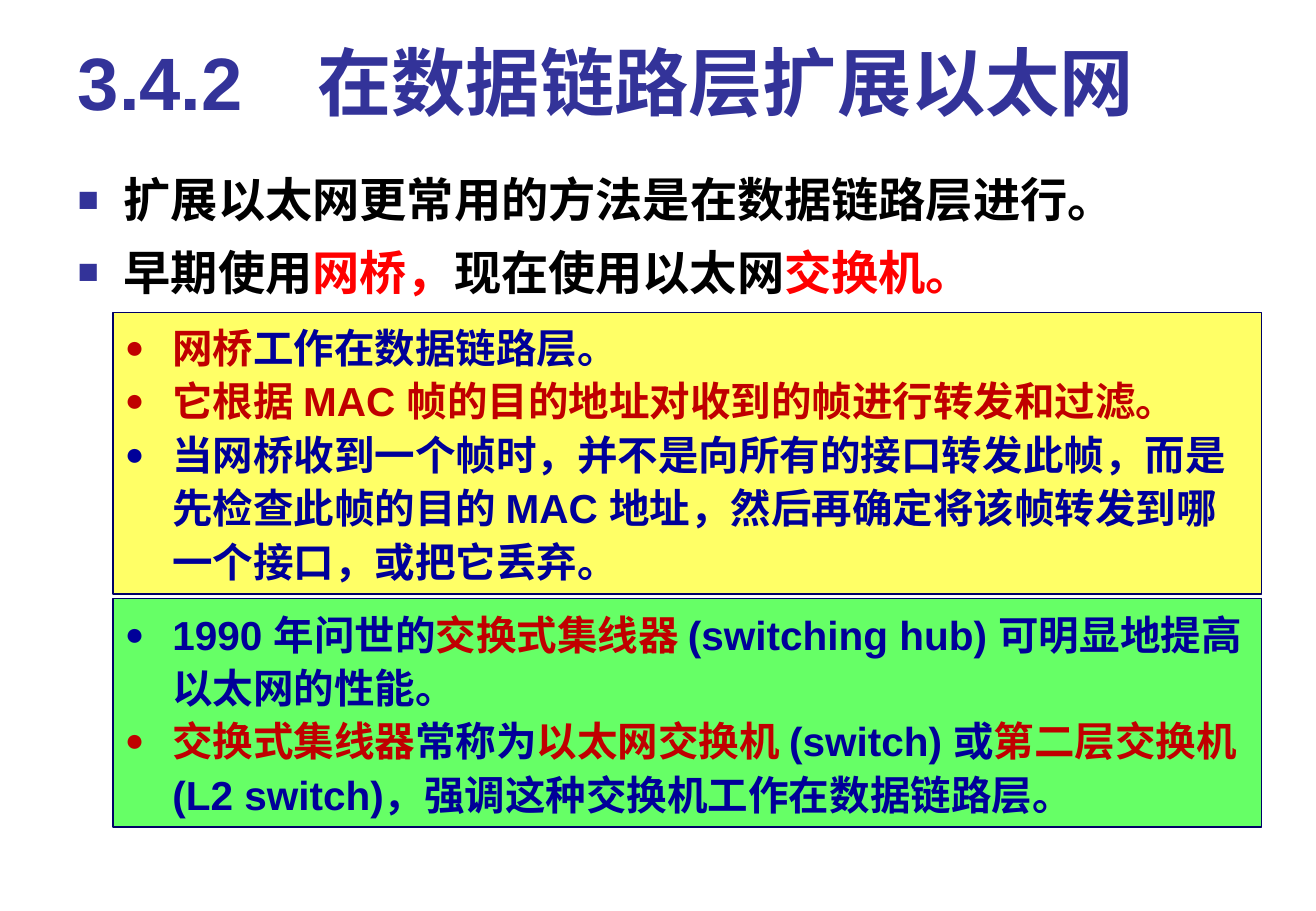
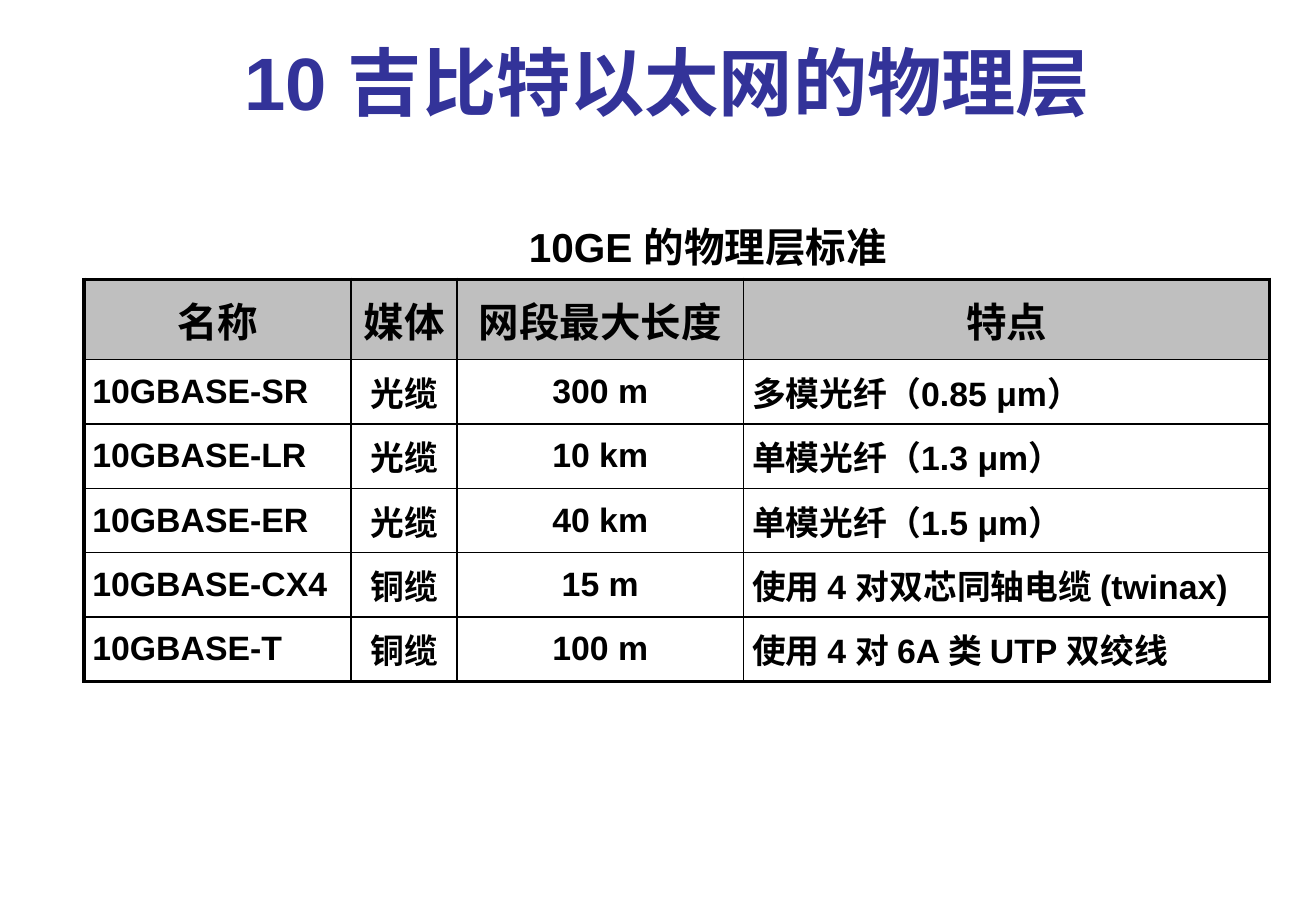
"""Build two slides on extending Ethernet and its 10 gigabit physical layer."""
from dataclasses import dataclass
from typing import Any

from lxml import etree
from pptx import Presentation
from pptx.dml.color import RGBColor
from pptx.enum.lang import MSO_LANGUAGE_ID
from pptx.enum.shapes import MSO_SHAPE
from pptx.enum.text import MSO_ANCHOR, MSO_AUTO_SIZE, PP_ALIGN
from pptx.oxml.ns import qn
from pptx.util import Inches, Pt

RECT = MSO_SHAPE.RECTANGLE
LEFT, CENTER, JUSTIFY = PP_ALIGN.LEFT, PP_ALIGN.CENTER, PP_ALIGN.JUSTIFY
TOP, MIDDLE, BOTTOM = MSO_ANCHOR.TOP, MSO_ANCHOR.MIDDLE, MSO_ANCHOR.BOTTOM
FIXED, GROW = MSO_AUTO_SIZE.NONE, MSO_AUTO_SIZE.SHAPE_TO_FIT_TEXT
CHINESE = MSO_LANGUAGE_ID.SIMPLIFIED_CHINESE

BLACK = RGBColor(0, 0, 0)
INDIGO = RGBColor(0x33, 0x33, 0x99)
NAVY = RGBColor(0, 0, 0x66)
BLUE = RGBColor(0, 0, 0x99)
RED = RGBColor(0xFF, 0, 0)
CRIMSON = RGBColor(0xC0, 0, 0)
YELLOW = RGBColor(0xFF, 0xFF, 0x66)
GREEN = RGBColor(0x66, 0xFF, 0x66)
GRAY = RGBColor(0xBF, 0xBF, 0xBF)

FONT = {"name": "Arial", "bold": True, "language_id": CHINESE}
FRAME = {"word_wrap": True, "auto_size": FIXED, "vertical_anchor": TOP}
CELL = {
    "margin_left": Inches(0.07), "margin_right": Inches(0.07),
    "margin_top": 0, "margin_bottom": 0, "vertical_anchor": MIDDLE,
}
THICK, THIN = Pt(2.25), Pt(1)

Run = tuple[str, RGBColor]
Line = list[Run]


@dataclass
class Bullet:
    """Mark and indent of a list."""

    mark: str
    scale: int
    indent: float
    color: RGBColor | None = None


@dataclass
class Panel:
    """Filled box with a list."""

    top: float
    height: float
    fill: RGBColor
    lines: list[Line]


SQUARE = Bullet("■", 75, 0.38, INDIGO)
DOT = Bullet("●", 80, 0.39)

POINTS: list[Line] = [
    [("扩展以太网更常用的方法是在数据链路层进行。", BLACK)],
    [("早期使用", BLACK), ("网桥，", RED), ("现在使用以太网", BLACK), ("交换机。", RED)],
]
PANELS = [
    Panel(2.57, 2.32, YELLOW, [
        [("网桥", CRIMSON), ("工作在数据链路层。", BLUE)],
        [("它根据 MAC 帧的目的地址对收到的帧进行转发和过滤。", CRIMSON)],
        [("当网桥收到一个帧时，并不是向所有的接口转发此帧，而是先检查此帧的目的 MAC 地址，"
          "然后再确定将该帧转发到哪一个接口，或把它丢弃。", BLUE)],
    ]),
    Panel(4.93, 1.88, GREEN, [
        [("1990 年问世的", BLUE), ("交换式集线器 ", CRIMSON),
         ("(switching hub) 可明显地提高以太网的性能。", BLUE)],
        [("交换式集线器", CRIMSON), ("常称为", BLUE), ("以太网交换机 ", CRIMSON),
         ("(switch) 或", BLUE), ("第二层交换机 ", CRIMSON),
         ("(L2 switch)，强调这种交换机工作在数据链路层。", BLUE)],
    ]),
]
WIDTHS = [2.2, 0.87, 2.36, 4.33]
ALIGNS = [JUSTIFY, CENTER, CENTER, JUSTIFY]
ROWS = [
    ["名称", "媒体", "网段最大长度", "特点"],
    ["10GBASE-SR", "光缆", "300 m", "多模光纤（0.85 μm）"],
    ["10GBASE-LR", "光缆", "10 km", "单模光纤（1.3 μm）"],
    ["10GBASE-ER", "光缆", "40 km", "单模光纤（1.5 μm）"],
    ["10GBASE-CX4", "铜缆", "15 m", "使用 4 对双芯同轴电缆 (twinax)"],
    ["10GBASE-T", "铜缆", "100 m", "使用 4 对 6A 类 UTP 双绞线"],
]


def apply(target: Any, values: dict[str, Any]) -> None:
    """Set each named value on the target."""
    for name, value in values.items():
        setattr(target, name, value)


def write(para: Any, line: Line, size: float, align: Any = LEFT) -> None:
    """Add the runs of one line to a paragraph."""
    para.alignment = align
    for text, color in line:
        run = para.add_run()
        run.text = text
        apply(run.font, FONT | {"size": Pt(size)})
        run.font.color.rgb = color


def mark(para: Any, bullet: Bullet) -> None:
    """Give a paragraph its bullet and hanging indent."""
    props = para._p.get_or_add_pPr()
    indent = Inches(bullet.indent)
    props.set("marL", str(indent))
    props.set("indent", str(-indent))
    if bullet.color is not None:
        tint = etree.SubElement(props, qn("a:buClr"))
        etree.SubElement(tint, qn("a:srgbClr"), val=str(bullet.color))
    etree.SubElement(props, qn("a:buSzPct"), val=str(bullet.scale * 1000))
    etree.SubElement(props, qn("a:buFont"), typeface="Arial")
    etree.SubElement(props, qn("a:buChar"), char=bullet.mark)


def fill_list(frame: Any, lines: list[Line], bullet: Bullet, size: float, gap: float = 0) -> None:
    """Write a bulleted list into a text frame."""
    for index, line in enumerate(lines):
        para = frame.add_paragraph() if index else frame.paragraphs[0]
        mark(para, bullet)
        apply(para, {"line_spacing": 1.1, "space_before": Pt(gap if index else 0)})
        write(para, line, size)


def add_slide(deck: Any, title: str, align: Any) -> Any:
    """Add a slide with the shared title style."""
    slide = deck.slides.add_slide(deck.slide_layouts[5])
    head = slide.shapes.title
    apply(head, {"left": Inches(0.54), "top": Inches(0.21),
                 "width": Inches(9.91), "height": Inches(0.87)})
    apply(head.text_frame, FRAME | {"vertical_anchor": BOTTOM})
    write(head.text_frame.paragraphs[0], [(title, INDIGO)], 44, align)
    return slide


def add_text(slide: Any, left: float, top: float, width: float, height: float) -> Any:
    """Add a wrapped text box and return its frame."""
    box = slide.shapes.add_textbox(Inches(left), Inches(top), Inches(width), Inches(height))
    apply(box.text_frame, FRAME)
    return box.text_frame


def add_panel(slide: Any, panel: Panel) -> None:
    """Draw one filled panel with its list."""
    box = slide.shapes.add_shape(
        RECT, Inches(0.93), Inches(panel.top), Inches(9.45), Inches(panel.height))
    box.shadow.inherit = False
    box.fill.solid()
    box.fill.fore_color.rgb = panel.fill
    box.line.color.rgb = NAVY
    box.line.width = Pt(0.75)
    apply(box.text_frame, FRAME | {"auto_size": GROW})
    fill_list(box.text_frame, panel.lines, DOT, 24)


def edge(cell: Any, sides: dict[str, int]) -> None:
    """Draw the borders of a cell."""
    props = cell._tc.get_or_add_tcPr()
    for side, width in sides.items():
        line = etree.SubElement(props, qn(f"a:{side}"), w=str(width))
        solid = etree.SubElement(line, qn("a:solidFill"))
        etree.SubElement(solid, qn("a:srgbClr"), val=str(BLACK))


def add_grid(slide: Any) -> None:
    """Draw the table of standards."""
    last, end = len(ROWS) - 1, len(WIDTHS) - 1
    table = slide.shapes.add_table(
        len(ROWS), len(WIDTHS), Inches(0.69), Inches(2.3), Inches(sum(WIDTHS)), Inches(3.31)).table
    apply(table, {"first_row": False, "horz_banding": False})
    for column, width in zip(table.columns, WIDTHS):
        column.width = Inches(width)
    for r, texts in enumerate(ROWS):
        table.rows[r].height = Inches(0.53 if r else 0.66)
        for c, text in enumerate(texts):
            cell = table.cell(r, c)
            apply(cell, CELL)
            edge(cell, {
                "lnL": THIN if c else THICK,
                "lnR": THICK if c == end else THIN,
                "lnT": THIN if r else THICK,
                "lnB": THICK if r == last else THIN,
            })
            if r:
                cell.fill.background()
            else:
                cell.fill.solid()
                cell.fill.fore_color.rgb = GRAY
            write(cell.text_frame.paragraphs[0], [(text, BLACK)],
                  20 if r else 24, ALIGNS[c] if r else CENTER)


def main() -> None:
    """Build and save the deck."""
    deck = Presentation()
    apply(deck, {"slide_width": Inches(10.83), "slide_height": Inches(7.5)})

    slide = add_slide(deck, "3.4.2　在数据链路层扩展以太网", LEFT)
    fill_list(add_text(slide, 0.54, 1.31, 9.91, 5.4), POINTS, SQUARE, 28, 6)
    for panel in PANELS:
        add_panel(slide, panel)

    slide = add_slide(deck, "10 吉比特以太网的物理层", CENTER)
    add_grid(slide)
    frame = add_text(slide, 2.35, 1.78, 6.95, 0.5)
    apply(frame, {"auto_size": GROW, "vertical_anchor": MIDDLE})
    write(frame.paragraphs[0], [("10GE 的物理层标准", BLACK)], 24, CENTER)

    deck.save("out.pptx")


if __name__ == "__main__":
    main()
